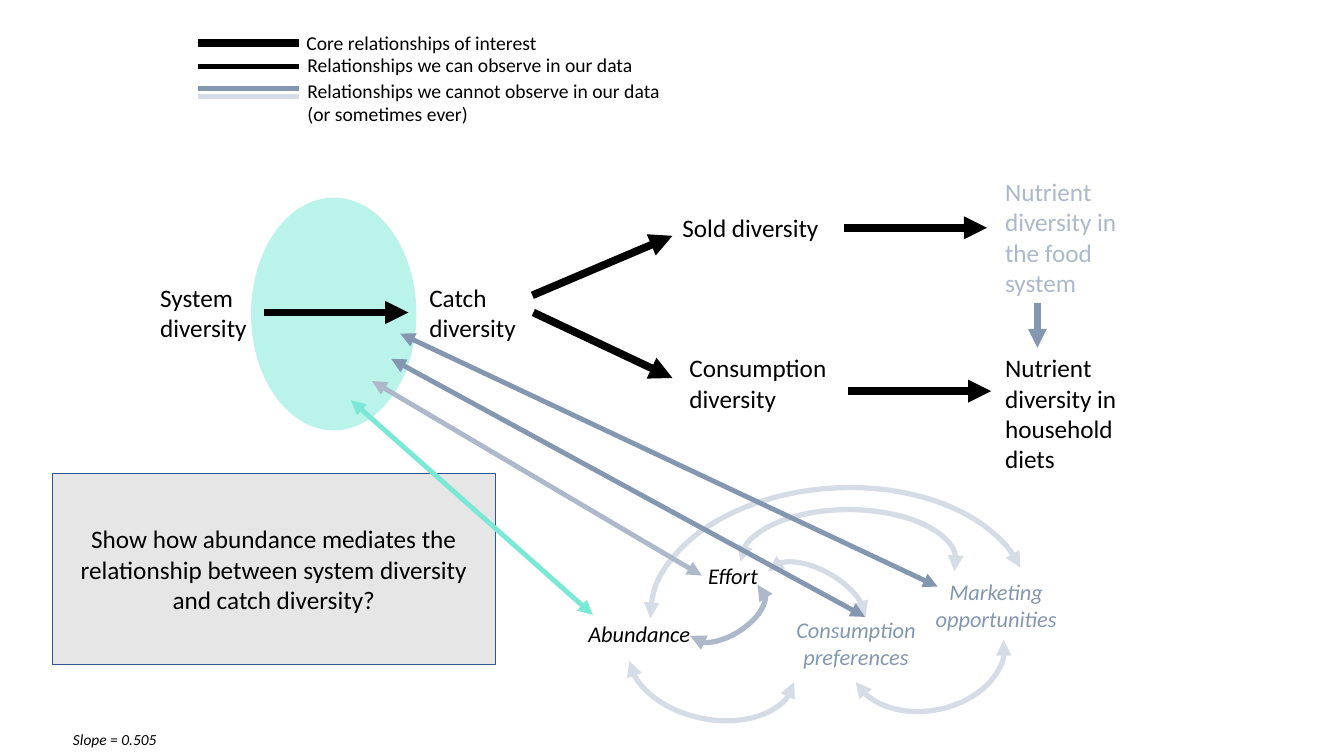
"""Build the slide that maps system diversity to catch, sales and diets."""
from lxml import etree
from pptx import Presentation
from pptx.dml.color import RGBColor
from pptx.enum.shapes import MSO_CONNECTOR, MSO_SHAPE
from pptx.enum.text import MSO_ANCHOR, MSO_AUTO_SIZE, PP_ALIGN
from pptx.oxml.ns import qn
from pptx.util import Pt

STRAIGHT = MSO_CONNECTOR.STRAIGHT
ARC, OVAL, RECTANGLE = MSO_SHAPE.ARC, MSO_SHAPE.OVAL, MSO_SHAPE.RECTANGLE
LEFT, CENTER = PP_ALIGN.LEFT, PP_ALIGN.CENTER
MIDDLE, GROW = MSO_ANCHOR.MIDDLE, MSO_AUTO_SIZE.SHAPE_TO_FIT_TEXT
PX = 9144


class Theme:
    font = "Calibri"
    black, slate, mist, pale = "000000", "8497B0", "ADB9CA", "D6DCE5"
    mint, grey, navy = "79E8D4", "E7E6E6", "325491"
    outcome, factor, legend, footnote = 18, 16, 14, 11
    core, observed, short, link, border = 5.5, 3.75, 4.5, 3.5, 0.75


NO_HEADS, ONE_HEAD, TWO_HEADS = (), ("tailEnd",), ("headEnd", "tailEnd")


def write(shape, text, size, color, align=LEFT, italic=False):
    frame = shape.text_frame
    frame.word_wrap = True
    para = frame.paragraphs[0]
    para.text = text
    para.alignment = align
    font = para.font
    font.name, font.size, font.italic = Theme.font, Pt(size), italic
    font.color.rgb = RGBColor.from_string(color)


def stroke(shape, color, width, heads):
    shape.line.color.rgb = RGBColor.from_string(color)
    shape.line.width = Pt(width)
    properties = shape.element.spPr
    for head in heads:
        etree.SubElement(properties.find(qn("a:ln")), qn(f"a:{head}"), type="triangle")
    etree.SubElement(properties, qn("a:effectLst"))


deck = Presentation()
deck.slide_width, deck.slide_height = 1333 * PX, 750 * PX
page = deck.slides.add_slide(deck.slide_layouts[6])
shapes = page.shapes

highlight = shapes.add_shape(OVAL, 249 * PX, 196 * PX, 164 * PX, 231 * PX)
highlight.shadow.inherit = False
highlight.fill.solid()
highlight.fill.fore_color.rgb = RGBColor.from_string(Theme.mint)
highlight.line.fill.background()
mint_fill = highlight.element.spPr.find(qn("a:solidFill"))
etree.SubElement(mint_fill[0], qn("a:alpha"), val="51000")

outcome = (Theme.outcome, Theme.black)
legend = (Theme.legend, Theme.black)
known_factor = (Theme.factor, Theme.black, CENTER, True)
hidden_factor = (Theme.factor, Theme.slate, CENTER, True)
labels = [
    ("System diversity", 149, 275, 113, 71, outcome),
    ("Catch diversity", 416, 275, 113, 71, outcome),
    ("Sold diversity", 667, 206, 163, 40, outcome),
    ("Consumption diversity", 674, 345, 163, 71, outcome),
    ("Nutrient diversity in the food system", 987, 170, 163, 131,
     (Theme.outcome, Theme.mist)),
    ("Nutrient diversity in household diets", 987, 345, 163, 131, outcome),
    ("Effort", 634, 553, 186, 37, known_factor),
    ("Abundance", 541, 610, 186, 37, known_factor),
    ("Marketing opportunities", 895, 569, 186, 64, hidden_factor),
    ("Consumption preferences", 756, 606, 186, 64, hidden_factor),
    ("Core relationships of interest", 294, 26, 377, 34, legend),
    ("Relationships we can observe in our data", 295, 48, 377, 34, legend),
    ("Relationships we cannot observe in our data (or sometimes ever)",
     295, 73, 379, 57, legend),
    ("Slope = 0.505", 21, 719, 186, 29, (Theme.footnote, Theme.black, CENTER, True)),
]
for text, left, top, width, height, style in labels:
    box = shapes.add_textbox(left * PX, top * PX, width * PX, height * PX)
    write(box, text, *style)
    box.text_frame.auto_size = GROW

curves = [
    (652, 576, 108, 167, 101.9, 162, 48.5, Theme.pale),
    (865, 573, 110, 154, 78.7, 162, 48.5, Theme.pale),
    (699, 565, 44, 86, 237.9, 162, 60.22, Theme.mist),
    (781, 539, 56, 109, 299.5, 162, 48.5, Theme.pale),
    (713, 416, 239, 375, 266.5, 162.3, 48.5, Theme.pale),
    (790, 450, 103, 214, 270, 162, 57.13, Theme.pale),
]
for left, top, width, height, turn, start, end, color in curves:
    curve = shapes.add_shape(ARC, left * PX, top * PX, width * PX, height * PX)
    curve.rotation = turn
    curve.adjustments[0], curve.adjustments[1] = start, end
    curve.fill.background()
    stroke(curve, color, Theme.observed, TWO_HEADS)
    if color == Theme.mist:
        curve.element.spPr.find(qn("a:xfrm")).set("flipH", "1")

question = shapes.add_shape(RECTANGLE, 52 * PX, 470 * PX, 439 * PX, 189 * PX)
question.fill.solid()
question.fill.fore_color.rgb = RGBColor.from_string(Theme.grey)
stroke(question, Theme.navy, Theme.border, NO_HEADS)
question.text_frame.vertical_anchor = MIDDLE
write(question, "Show how abundance mediates the relationship between system diversity"
      " and catch diversity?", *outcome, CENTER)

core_arrow = (Theme.black, Theme.core, ONE_HEAD)
slate_link = (Theme.slate, Theme.link, TWO_HEADS)
lines = [
    (262, 310, 405, 310, core_arrow),
    (529, 310, 667, 375, core_arrow),
    (841, 388, 983, 388, core_arrow),
    (528, 293, 667, 234, core_arrow),
    (837, 226, 979, 226, core_arrow),
    (1029, 301, 1029, 345, (Theme.slate, Theme.short, ONE_HEAD)),
    (196, 43, 297, 43, (Theme.black, Theme.core, NO_HEADS)),
    (196, 66, 297, 66, (Theme.black, Theme.observed, NO_HEADS)),
    (196, 88, 297, 88, (Theme.slate, Theme.observed, NO_HEADS)),
    (196, 96, 297, 96, (Theme.pale, Theme.observed, NO_HEADS)),
    (930, 582, 397, 331, slate_link),
    (696, 571, 369, 378, (Theme.mist, Theme.link, TWO_HEADS)),
    (858, 612, 388, 356, slate_link),
    (588, 610, 348, 397, (Theme.mint, Theme.link, TWO_HEADS)),
]
for start_x, start_y, end_x, end_y, style in lines:
    line = shapes.add_connector(
        STRAIGHT, start_x * PX, start_y * PX, end_x * PX, end_y * PX)
    stroke(line, *style)

deck.save("out.pptx")
